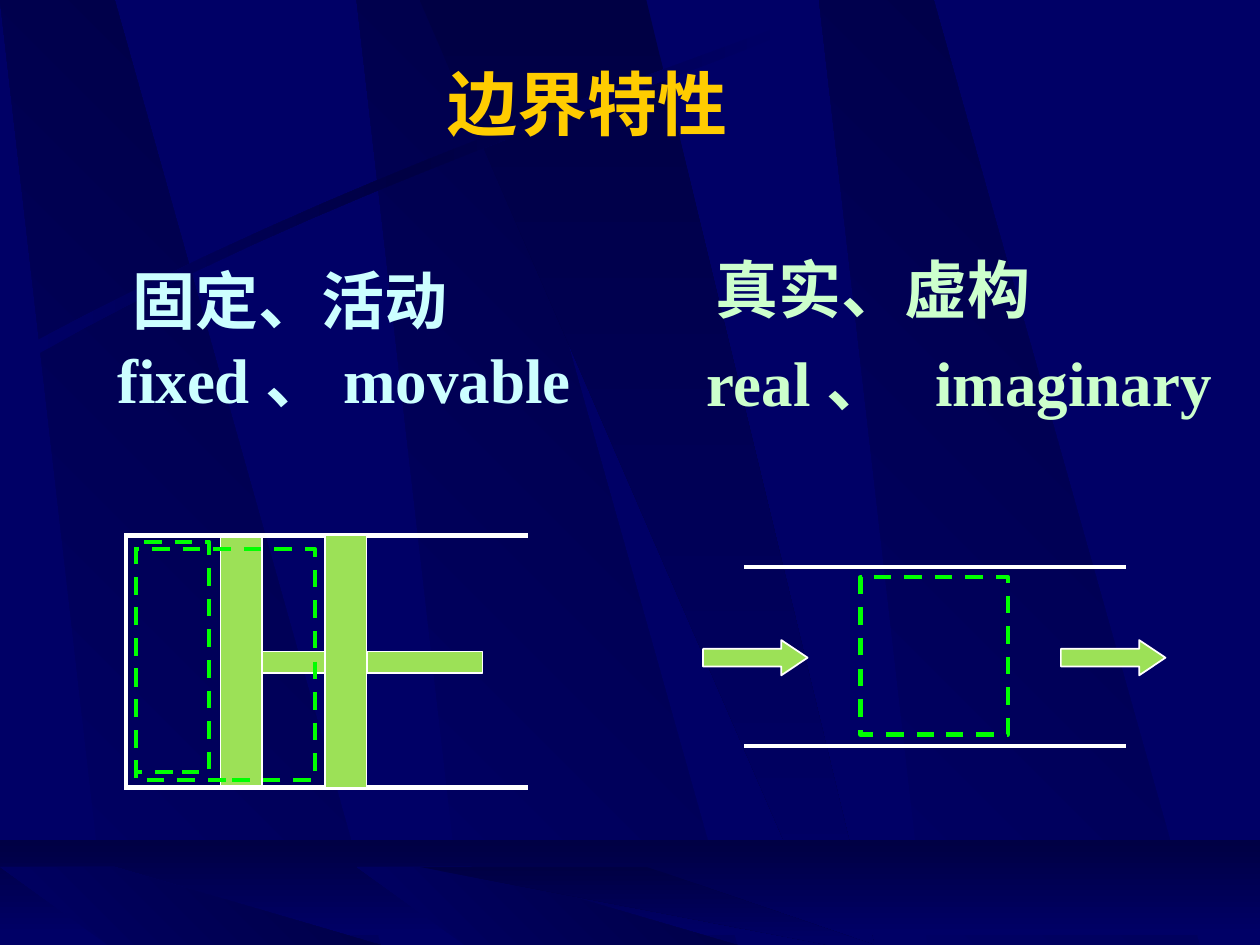
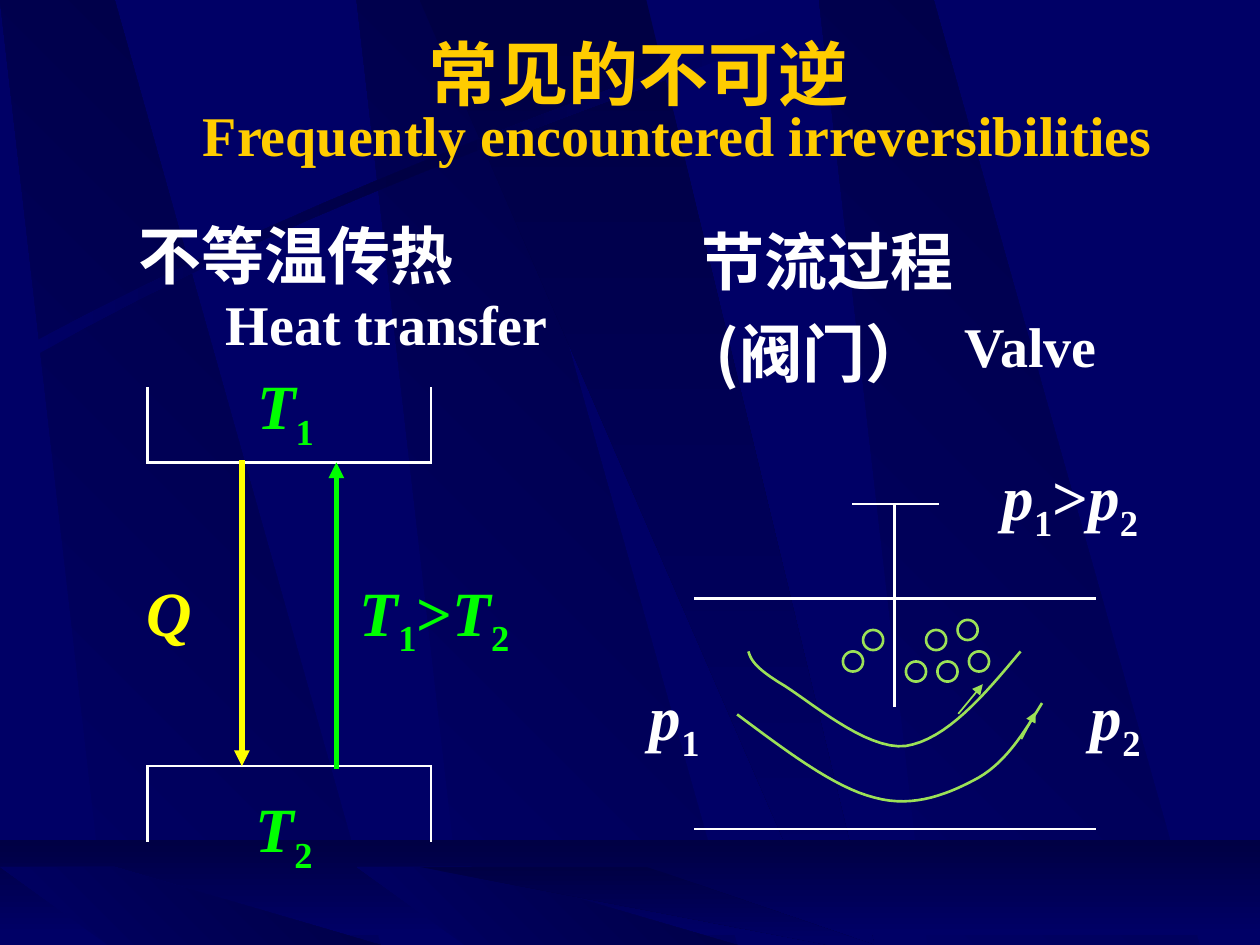
from copy import deepcopy

from lxml import etree
from pptx import Presentation
from pptx.dml.color import RGBColor
from pptx.enum.dml import MSO_LINE
from pptx.enum.shapes import MSO_CONNECTOR, MSO_SHAPE
from pptx.enum.text import MSO_ANCHOR, MSO_AUTO_SIZE, PP_ALIGN
from pptx.oxml.ns import qn
from pptx.util import Cm, Pt

STRAIGHT = MSO_CONNECTOR.STRAIGHT
RECTANGLE, ELLIPSE, ARROW = MSO_SHAPE.RECTANGLE, MSO_SHAPE.OVAL, MSO_SHAPE.RIGHT_ARROW
LEFT, CENTER = PP_ALIGN.LEFT, PP_ALIGN.CENTER
MIDDLE, GROW, DASH = MSO_ANCHOR.MIDDLE, MSO_AUTO_SIZE.SHAPE_TO_FIT_TEXT, MSO_LINE.DASH

COLORS = {
    "night": "000066", "shade": "000044", "gold": "FFCC00", "white": "FFFFFF",
    "lime": "9CE157", "green": "00FF00", "yellow": "FFFF00",
    "ice": "CCFFFF", "mint": "CCFFCC",
}
SERIF, SANS = "Times New Roman", "Noto Sans CJK SC"
WIDTH, HEIGHT = 10, 7.5


def rgb(name):
    return RGBColor.from_string(COLORS[name])


def lengths(*inches):
    return [Cm(2.54 * value) for value in inches]


def bezier(start, *curves, steps=16):
    points = [start]
    for first, second, end in curves:
        for step in range(1, steps + 1):
            t = step / steps
            weights = (1 - t) ** 3, 3 * t * (1 - t) ** 2, 3 * t * t * (1 - t), t ** 3
            points.append(tuple(
                sum(weight * value for weight, value in zip(weights, axis))
                for axis in zip(start, first, second, end)))
        start = end
    return points


def write(frame, text, *, size=36, color="white", font=SERIF, align=CENTER,
          formula=False, gap=9, indent=0):
    frame.auto_size = GROW
    for number, line in enumerate(text.split("\n")):
        para = frame.add_paragraph() if number else frame.paragraphs[0]
        para.alignment = align
        if number:
            para.space_before = Pt(gap)
            para._p.get_or_add_pPr().set("marL", str(lengths(indent)[0]))
        for piece in line if formula else [line]:
            span = para.add_run()
            span.text = piece
            span.font.size = Pt(size)
            span.font.bold = True
            span.font.italic = formula and piece.isalpha()
            span.font.color.rgb = rgb(color)
            span.font.name = font
            properties = span._r.get_or_add_rPr()
            etree.SubElement(properties, qn("a:ea")).set("typeface", SANS)
            if formula and piece.isdigit():
                properties.set("baseline", "-25000")


class Deck:
    """Holds the shared style and the current slide, and draws each kind of element."""

    def __init__(self):
        self.deck = Presentation()
        self.deck.slide_width, self.deck.slide_height = lengths(WIDTH, HEIGHT)
        self.page = None
        self.backdrop_count = 0

    def add_page(self, title, left, top, width):
        self.page = self.deck.slides.add_slide(self.deck.slide_layouts[5])
        box = self.page.shapes.title
        box.left, box.top, box.width, box.height = lengths(left, top, width, 0.77)
        box.text_frame.vertical_anchor = MIDDLE
        write(box.text_frame, title, size=40, color="gold")

    def style(self, shape, fill=None, line=None, weight=1, dash=None):
        shape.shadow.inherit = False
        if fill:
            shape.fill.solid()
            shape.fill.fore_color.rgb = rgb(fill)
        else:
            shape.fill.background()
        if line:
            shape.line.color.rgb = rgb(line)
            shape.line.width = Pt(weight)
            if dash:
                shape.line.dash_style = dash
        else:
            shape.line.fill.background()
        return shape

    def shape(self, kind, left, top, width, height, **look):
        place = lengths(left, top, width, height)
        return self.style(self.page.shapes.add_shape(kind, *place), **look)

    def outline(self, points, close=False, **look):
        corners = [lengths(*point) for point in points]
        builder = self.page.shapes.build_freeform(*corners[0], scale=1.0)
        builder.add_line_segments(corners[1:], close=close)
        return self.style(builder.convert_to_shape(), **look)

    def line(self, x1, y1, x2, y2, color="white", weight=1.5, arrow=False):
        line = self.page.shapes.add_connector(STRAIGHT, *lengths(x1, y1, x2, y2))
        line.line.color.rgb = rgb(color)
        line.line.width = Pt(weight)
        properties = line.element.spPr
        stroke = properties.find(qn("a:ln"))
        stroke.set("cap", "sq")
        if arrow:
            etree.SubElement(stroke, qn("a:tailEnd")).set("type", "triangle")
        etree.SubElement(properties, qn("a:effectLst"))

    def text(self, text, left, top, width, height=0.7, wrap=False, **look):
        box = self.page.shapes.add_textbox(*lengths(left, top, width, height))
        box.text_frame.word_wrap = wrap
        write(box.text_frame, text, **look)

    def shade(self, shape, names, angle):
        shape.fill.gradient()
        shape.fill.gradient_angle = angle
        stops = shape.element.spPr.find(".//" + qn("a:gsLst"))
        if len(names) == 3:
            stops.insert(1, deepcopy(stops[0]))
        for number, (stop, name) in enumerate(zip(shape.fill.gradient_stops, names)):
            stop.position = number / (len(names) - 1)
            stop.color.rgb = rgb(name)
        master = self.deck.slide_master.shapes.element
        shape.element.find(".//" + qn("p:cNvPr")).set("id", str(100 + self.backdrop_count))
        master.insert(2 + self.backdrop_count, shape.element)
        self.backdrop_count += 1

    def band(self, left, top):
        points = [(left + 0.86, HEIGHT), (left + 3.02, HEIGHT), (left + 0.91, top), (left, top)]
        self.shade(self.outline(points, close=True), ("night", "shade"), 45)

    def beam(self, top):
        points = [(3.33, top), (6.58, HEIGHT), (6.94, HEIGHT), (5.13, top)]
        self.shade(self.outline(points, close=True), ("shade", "night"), 270)

    def backdrop(self):
        background = self.deck.slide_master.background.fill
        background.solid()
        background.fore_color.rgb = rgb("night")
        for left in (2.83, 0, 6.5):
            self.band(left, 0)
        self.beam(0)
        upper = bezier((0.2, 2.75), ((2.84, 1.34), (5.24, 0.59), (6.26, 0.18)))
        lower = bezier((6.29, 0.24), ((5.28, 0.69), (2.54, 1.51), (0.23, 2.85)))
        self.shade(self.outline(upper + lower, close=True), ("night", "shade", "night"), 0)
        self.shade(self.shape(RECTANGLE, 0, 6.67, WIDTH, 0.75), ("shade", "night"), 270)
        for left in (2.83, 0):
            self.band(left, 6.88)
        self.beam(6.88)

    def piston(self, left):
        look = {"fill": "lime", "line": "white"}
        self.shape(RECTANGLE, left, 4.25, 0.33, 2, **look)
        self.shape(RECTANGLE, left + 0.33, 5.17, 0.92, 0.17, **look)

    def boundary(self, *place):
        self.shape(RECTANGLE, *place, line="green", weight=2.5, dash=DASH)


def draw_boundaries(deck):
    deck.add_page("边界特性", 1.58, 0.43, 6.17)
    deck.backdrop()
    deck.text("固定、活动", 0.95, 2.03, 2.7, color="ice")
    deck.text("fixed 、 movable", 0.2, 2.65, 5.06, wrap=True, color="ice")
    deck.text("真实、虚构", 5.58, 1.94, 3.4, 0.92, wrap=True, color="mint", align=LEFT)
    deck.text("real 、", 5.17, 2.68, 2.33, wrap=True, color="mint")
    deck.text("imaginary", 6.93, 2.68, 3.18, wrap=True, color="mint")

    deck.piston(1.75)
    for y in (4.25, 6.25):
        deck.line(1, y, 4.17, y, weight=2.5)
    deck.line(1, 4.25, 1, 6.25, weight=2.5)
    deck.piston(2.58)
    deck.boundary(1.08, 4.36, 1.42, 1.83)
    deck.boundary(1.08, 4.3, 0.58, 1.83)

    for y in (4.5, 5.92):
        deck.line(5.92, y, 8.92, y, weight=2.5)
    deck.boundary(6.83, 4.58, 1.17, 1.25)
    for left in (5.58, 8.42):
        arrow = deck.shape(ARROW, left, 5.08, 0.83, 0.28, fill="lime", line="white")
        arrow.adjustments[1] = 0.745


def draw_irreversibilities(deck):
    deck.add_page("常见的不可逆", 0.58, 0.19, 8.98)
    deck.text("Frequently encountered irreversibilities", 1.5, 0.75, 7.76, 0.64,
              size=32, color="gold")
    deck.text("不等温传热", 1, 1.67, 3, wrap=True, font=SANS, align=LEFT)
    deck.text("Heat transfer", 1.69, 2.25, 2.76, 0.64, size=32)
    deck.text("节流过程\n(阀门）", 5.47, 1.72, 2.33, 1.43, wrap=True, font=SANS,
              align=LEFT, indent=0.11)
    deck.text("Valve", 7.54, 2.42, 1.28, 0.64, size=32)

    for level, rim in ((3.67, 3.08), (6.08, 6.67)):
        deck.line(1.17, level, 3.42, level)
        for x in (1.17, 3.42):
            deck.line(x, level, x, rim)
    deck.line(1.92, 3.67, 1.92, 6.08, color="yellow", weight=3, arrow=True)
    deck.line(2.67, 6.08, 2.67, 3.67, color="green", weight=3, arrow=True)

    for symbol, left, top, width, color in (
            ("T1", 1.84, 2.86, 0.85, "green"),
            ("T2", 1.83, 6.22, 0.85, "green"),
            ("T1>T2", 2.66, 4.5, 1.58, "green"),
            ("Q", 0.96, 4.5, 0.76, "yellow"),
            ("p1", 4.96, 5.33, 0.79, "white"),
            ("p2", 8.46, 5.33, 0.79, "white"),
            ("p1>p2", 7.76, 3.58, 1.47, "white")):
        deck.text(symbol, left, top, width, 0.79, color=color, formula=True)

    for y in (4.75, 6.58):
        deck.line(5.52, y, 8.69, y)
    deck.line(7.1, 5.6, 7.1, 4)
    deck.line(6.77, 4, 7.44, 4)
    upper_flow = bezier((5.94, 5.17), ((5.96, 5.23), (5.98, 5.29), (6.19, 5.42)),
                        ((6.4, 5.54), (6.87, 5.96), (7.19, 5.92)),
                        ((7.51, 5.87), (7.81, 5.52), (8.1, 5.17)))
    lower_flow = bezier((5.85, 5.67), ((6.24, 5.96), (6.62, 6.25), (6.94, 6.33)),
                        ((7.26, 6.42), (7.55, 6.29), (7.77, 6.17)),
                        ((7.99, 6.04), (8.13, 5.81), (8.27, 5.58)))
    for flow in (upper_flow, lower_flow):
        deck.outline(flow, line="lime", weight=1.5)
    for left, top in ((7.6, 4.92), (7.69, 5.17), (7.44, 5.25), (7.19, 5.25),
                      (7.35, 5), (6.85, 5), (6.69, 5.17)):
        deck.shape(ELLIPSE, left, top, 0.16, 0.16, line="lime", weight=1.5)
    deck.line(7.61, 5.66, 7.8, 5.43, color="lime", weight=1, arrow=True)
    deck.line(8.11, 5.86, 8.22, 5.65, color="lime", weight=1, arrow=True)


def main():
    deck = Deck()
    draw_boundaries(deck)
    draw_irreversibilities(deck)
    deck.deck.save("out.pptx")


if __name__ == "__main__":
    main()
